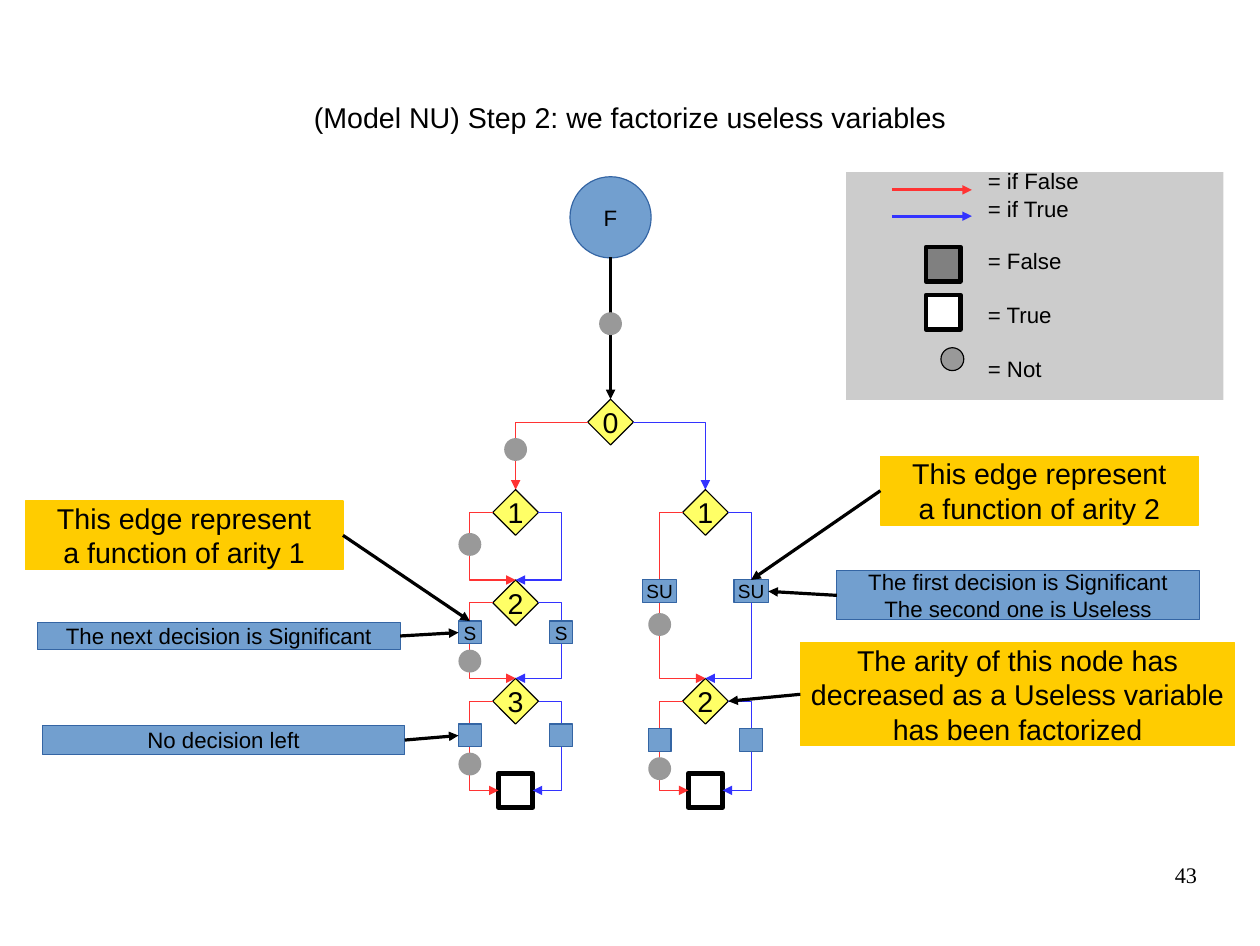
import pptx
import pptx.dml.color
import pptx.enum.shapes
import pptx.enum.text
import pptx.util
from lxml import etree
from pptx.oxml.ns import qn

Inches, Pt = pptx.util.Inches, pptx.util.Pt
SHAPE = pptx.enum.shapes.MSO_SHAPE
ALIGN = pptx.enum.text.PP_ALIGN
ANCHOR = pptx.enum.text.MSO_ANCHOR

BLACK, WHITE, GREY = "000000", "FFFFFF", "999999"
BLUE, BLUE_EDGE, YELLOW, AMBER = "729FCF", "3465A4", "FFFF66", "FFCC00"
IF_FALSE, IF_TRUE = "FF3333", "3333FF"

TITLE = "(Model NU) Step 2: we factorize useless variables"
PAGE = "43"
ROOT = (5.34, 3.69)
DIAMOND, DOT, TERMINAL, SIDE = 0.4, 0.2, 0.3, 0.4
TERMINAL_Y = 6.91
# Each branch: centre x, then its nodes as
# (label, centre y, tag on both edges, tag width, tag y, y of the Not dot)
BRANCHES = {
    "left": (4.51, [("1", 4.48, None, 0, 0, 4.76),
                    ("2", 5.27, "S", 0.2, 5.53, 5.78),
                    ("3", 6.13, "", 0.2, 6.43, 6.68)]),
    "right": (6.17, [("1", 4.48, "SU", 0.3, 5.17, 5.46),
                     ("2", 6.13, "", 0.2, 6.47, 6.72)]),
}
# (lines, left, top, width, height, fill, edge, size,
#  side the arrow leaves from, target as (branch, node, part), target side)
NOTES = [
    (["The next decision is Significant"], 0.33, 5.44, 3.17, 0.24,
     BLUE, BLUE_EDGE, 14, 3, ("left", "2", "false"), 1),
    (["The first decision is Significant", "The second one is Useless"],
     7.32, 4.99, 3.17, 0.43, BLUE, BLUE_EDGE, 14, 1, ("right", "1", "true"), 3),
    (["No decision left"], 0.37, 6.34, 3.17, 0.26,
     BLUE, BLUE_EDGE, 14, 3, ("left", "3", "false"), 1),
    (["The arity of this node has", "decreased as a Useless variable",
      "has been factorized"], 7, 5.62, 3.8, 0.9,
     AMBER, AMBER, 18, 1, ("right", "2", "node"), 3),
    (["This edge represent", "a function of arity 1"], 0.22, 4.38, 2.78, 0.6,
     AMBER, AMBER, 18, 3, ("left", "2", "false"), 0),
    (["This edge represent", "a function of arity 2"], 7.7, 3.99, 2.78, 0.6,
     AMBER, AMBER, 18, 1, ("right", "1", "true"), 0),
]
LEGEND = [("= if False", 1.58), ("= if True", 1.82), ("= False", 2.28),
          ("= True", 2.75), ("= Not", 3.22)]

deck = pptx.Presentation()
deck.slide_width, deck.slide_height = Inches(11.02), Inches(8.27)
slide = deck.slides.add_slide(deck.slide_layouts[5])
shapes = slide.shapes


def rgb(value):
    return pptx.dml.color.RGBColor.from_string(value)


def write(frame, lines, size, align=ALIGN.CENTER, anchor=ANCHOR.MIDDLE,
          font="Arial", wrap=False):
    frame.word_wrap = wrap
    frame.vertical_anchor = anchor
    for i, line in enumerate(lines):
        paragraph = frame.add_paragraph() if i else frame.paragraphs[0]
        paragraph.alignment = align
        run = paragraph.add_run()
        run.text = line
        run.font.name, run.font.size = font, Pt(size)
        run.font.color.rgb = rgb(BLACK)


def no_insets(frame):
    frame.margin_left = frame.margin_right = 0
    frame.margin_top = frame.margin_bottom = 0


def block(kind, x, y, w, h, fill, edge=None, weight=0, lines=(), size=14):
    """Add a filled shape centred on (x, y)."""
    shape = shapes.add_shape(kind, Inches(x - w / 2), Inches(y - h / 2),
                             Inches(w), Inches(h))
    shape.shadow.inherit = False
    shape.fill.solid()
    shape.fill.fore_color.rgb = rgb(fill)
    if edge:
        shape.line.color.rgb = rgb(edge)
        shape.line.width = Pt(weight)
    else:
        shape.line.fill.background()
    if lines:
        write(shape.text_frame, lines, size)
    return shape


def arrow_line(shape, color):
    shape.line.color.rgb = rgb(color)
    shape.line.width = Pt(0)
    outline = shape._element.spPr.find(qn("a:ln"))
    etree.SubElement(outline, qn("a:tailEnd"), type="triangle")


def arrow(x1, y1, x2, y2, color=BLACK):
    connector = shapes.add_connector(
        pptx.enum.shapes.MSO_CONNECTOR.STRAIGHT,
        Inches(x1), Inches(y1), Inches(x2), Inches(y2))
    arrow_line(connector, color)
    etree.SubElement(connector._element.spPr, qn("a:effectLst"))
    return connector


def bent_arrow(points, color):
    start, *rest = [(Inches(x), Inches(y)) for x, y in points]
    builder = shapes.build_freeform(*start)
    builder.add_line_segments(rest, close=False)
    edge = builder.convert_to_shape()
    edge.fill.background()
    arrow_line(edge, color)
    edge.shadow.inherit = False


def diamond(label, x, y):
    return block(SHAPE.DIAMOND, x, y, DIAMOND, DIAMOND, YELLOW, BLACK,
                 lines=[label], size=18)


def not_dot(x, y, edge=None):
    block(SHAPE.OVAL, x, y, DOT, DOT, GREY, edge)


def terminal(x, y, fill):
    block(SHAPE.RECTANGLE, x, y, TERMINAL, TERMINAL, fill, BLACK, 3)


def draw_branch(name):
    x, nodes = BRANCHES[name]
    parts = {}
    terminal(x, TERMINAL_Y, WHITE)
    for label, y, *_ in nodes:
        parts[name, label, "node"] = diamond(label, x, y)
    ends = [(0, node[1] - DIAMOND / 2) for node in nodes[1:]]
    ends.append((TERMINAL / 2, TERMINAL_Y))
    for (label, y, tag, tag_w, tag_y, dot_y), (gap, end_y) in zip(nodes, ends):
        for side, color, way in ((-1, IF_FALSE, "false"), (1, IF_TRUE, "true")):
            bend = x + side * SIDE
            bent_arrow([(x + side * DIAMOND / 2, y), (bend, y),
                        (bend, end_y), (x + side * gap, end_y)], color)
            if tag is not None:
                parts[name, label, way] = block(
                    SHAPE.RECTANGLE, bend, tag_y, tag_w, 0.2, BLUE, BLUE_EDGE,
                    lines=[tag] if tag else [], size=12)
        not_dot(x - SIDE, dot_y)
    return parts


title = shapes.title
title.left, title.top = Inches(0.55), Inches(0.33)
title.width, title.height = Inches(9.92), Inches(1.38)
no_insets(title.text_frame)
write(title.text_frame, [TITLE], 18, wrap=True)

# Decision diagram
root_x, root_y = ROOT
block(SHAPE.OVAL, root_x, 1.9, 0.71, 0.71, BLUE, BLUE_EDGE, lines=["F"])
root = diamond("0", root_x, root_y)
entry = arrow(root_x, 2.25, root_x, root_y - DIAMOND / 2)
entry.end_connect(root, 0)
not_dot(root_x, 2.83)
parts = {}
for name, side, color in (("left", -1, IF_FALSE), ("right", 1, IF_TRUE)):
    x, nodes = BRANCHES[name]
    bent_arrow([(root_x + side * DIAMOND / 2, root_y), (x, root_y),
                (x, nodes[0][1] - DIAMOND / 2)], color)
    parts.update(draw_branch(name))
not_dot(BRANCHES["left"][0], 3.93)

# Notes and their pointers
for lines, x, y, w, h, fill, edge, size, leave, target, reach in NOTES:
    note = block(SHAPE.RECTANGLE, x + w / 2, y + h / 2, w, h, fill, edge,
                 lines=lines, size=size)
    pointer = arrow(x, y, x + w, y + h)
    pointer.begin_connect(note, leave)
    pointer.end_connect(parts[target], reach)

# Legend
block(SHAPE.RECTANGLE, 9.05, 2.5, 3.3, 1.99, "CCCCCC")
arrow(7.8, 1.66, 8.5, 1.66, IF_FALSE)
arrow(7.8, 1.89, 8.5, 1.89, IF_TRUE)
terminal(8.25, 2.31, "808080")
terminal(8.25, 2.73, WHITE)
not_dot(8.33, 3.14, BLACK)
for meaning, y in LEGEND:
    entry_text = shapes.add_textbox(Inches(8.64), Inches(y - 0.12),
                                    Inches(1.2), Inches(0.24)).text_frame
    no_insets(entry_text)
    write(entry_text, [meaning], 14, ALIGN.LEFT, wrap=True)

page = shapes.add_textbox(Inches(7.9), Inches(7.53), Inches(2.57), Inches(0.57))
no_insets(page.text_frame)
write(page.text_frame, [PAGE], 14, ALIGN.RIGHT, ANCHOR.TOP,
      "Times New Roman", wrap=True)

deck.save("out.pptx")
